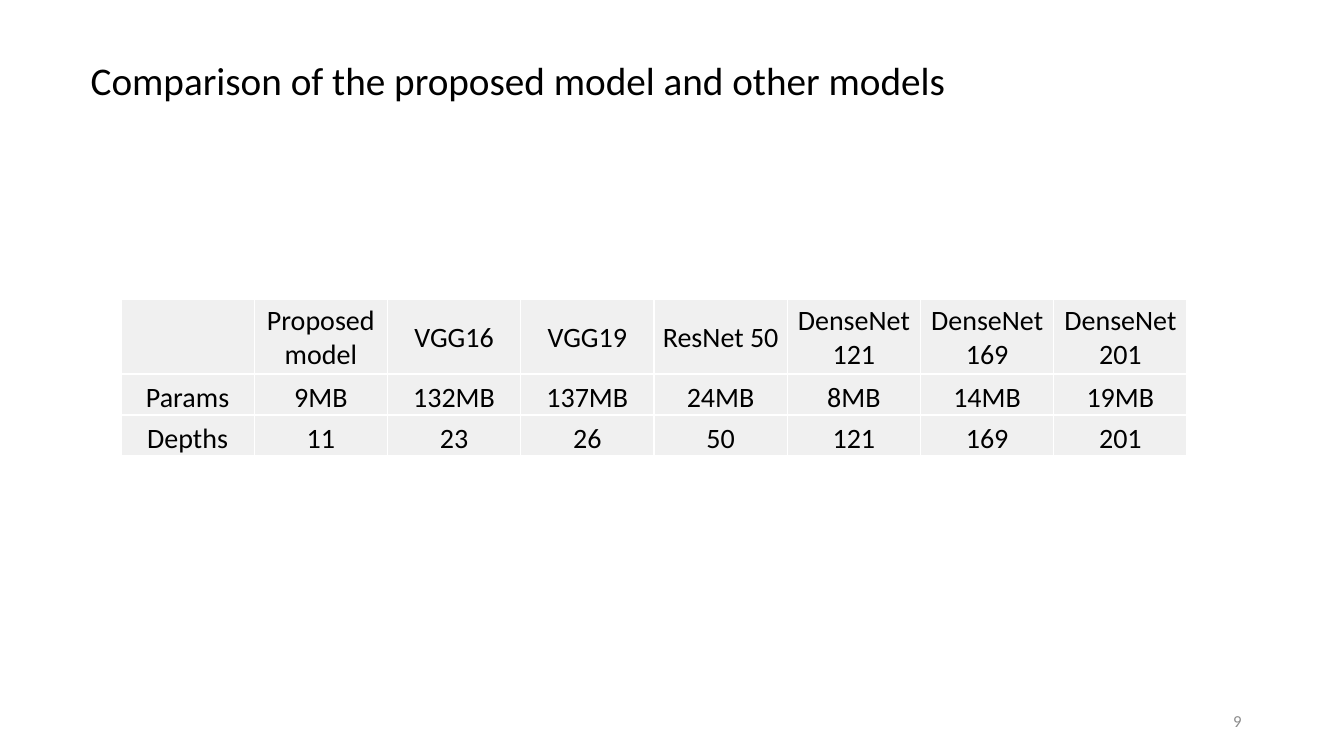
import pptx
import pptx.util
import pptx.dml.color
import pptx.enum.text
import lxml.etree
from dataclasses import dataclass

Pt = pptx.util.Pt
RGBColor = pptx.dml.color.RGBColor
Align = pptx.enum.text.PP_ALIGN
Anchor = pptx.enum.text.MSO_ANCHOR


@dataclass(frozen=True)
class Theme:
    font: str = "Calibri"
    ink: str = "000000"
    muted: str = "8C8C8C"
    cell: str = "F0F0F0"
    border: str = "FFFFFF"
    title_size: int = 28
    table_size: int = 20
    number_size: int = 12


theme = Theme()


def write(frame, text, size, color, align):
    frame.text = text
    para = frame.paragraphs[0]
    para.alignment = align
    for span in para.runs:
        span.font.name = theme.font
        span.font.size = Pt(size)
        span.font.color.rgb = RGBColor.from_string(color)


def add_borders(cell, color, width):
    properties = cell._tc.get_or_add_tcPr()
    for side in ("lnL", "lnR", "lnT", "lnB"):
        line = lxml.etree.SubElement(properties, pptx.oxml.ns.qn("a:" + side), w=str(Pt(width)))
        fill = lxml.etree.SubElement(line, pptx.oxml.ns.qn("a:solidFill"))
        lxml.etree.SubElement(fill, pptx.oxml.ns.qn("a:srgbClr"), val=color)


# Deck and page
deck = pptx.Presentation()
deck.slide_width, deck.slide_height = Pt(960), Pt(540)
page = deck.slides.add_slide(deck.slide_layouts[5])

# Title
title = page.shapes.title
title.left, title.top, title.width, title.height = Pt(57.6), Pt(36.7), Pt(684), Pt(41)
title.text_frame.word_wrap = True
title.text_frame.auto_size = pptx.enum.text.MSO_AUTO_SIZE.NONE
title.text_frame.vertical_anchor = Anchor.TOP
write(title.text_frame, "Comparison of the proposed model and other models",
      theme.title_size, theme.ink, Align.LEFT)

# Model comparison table
models = [
    ("", "Params", "Depths"),
    ("Proposed model", "9MB", "11"),
    ("VGG16", "132MB", "23"),
    ("VGG19", "137MB", "26"),
    ("ResNet 50", "24MB", "50"),
    ("DenseNet 121", "8MB", "121"),
    ("DenseNet 169", "14MB", "169"),
    ("DenseNet 201", "19MB", "201"),
]
row_heights = [53.3, 29.3, 29.3]
column_width = 95.2
table = page.shapes.add_table(
    len(row_heights), len(models), Pt(86.4), Pt(213.8),
    Pt(column_width * len(models)), Pt(sum(row_heights))).table
for row, height in zip(table.rows, row_heights):
    row.height = Pt(height)

for column, model in enumerate(models):
    table.columns[column].width = Pt(column_width)
    for row, value in enumerate(model):
        cell = table.cell(row, column)
        cell.margin_left = cell.margin_right = cell.margin_top = Pt(1.5)
        cell.margin_bottom = Pt(0)
        cell.vertical_anchor = Anchor.MIDDLE if row == 0 else Anchor.BOTTOM
        add_borders(cell, theme.border, 1)
        cell.fill.solid()
        cell.fill.fore_color.rgb = RGBColor.from_string(theme.cell)
        write(cell.text_frame, value, theme.table_size, theme.ink, Align.CENTER)

# Page number
number = page.shapes.add_textbox(Pt(678), Pt(500.5), Pt(216), Pt(28.8))
number.text_frame.word_wrap = True
number.text_frame.vertical_anchor = Anchor.MIDDLE
write(number.text_frame, "9", theme.number_size, theme.muted, Align.RIGHT)

deck.save("out.pptx")
